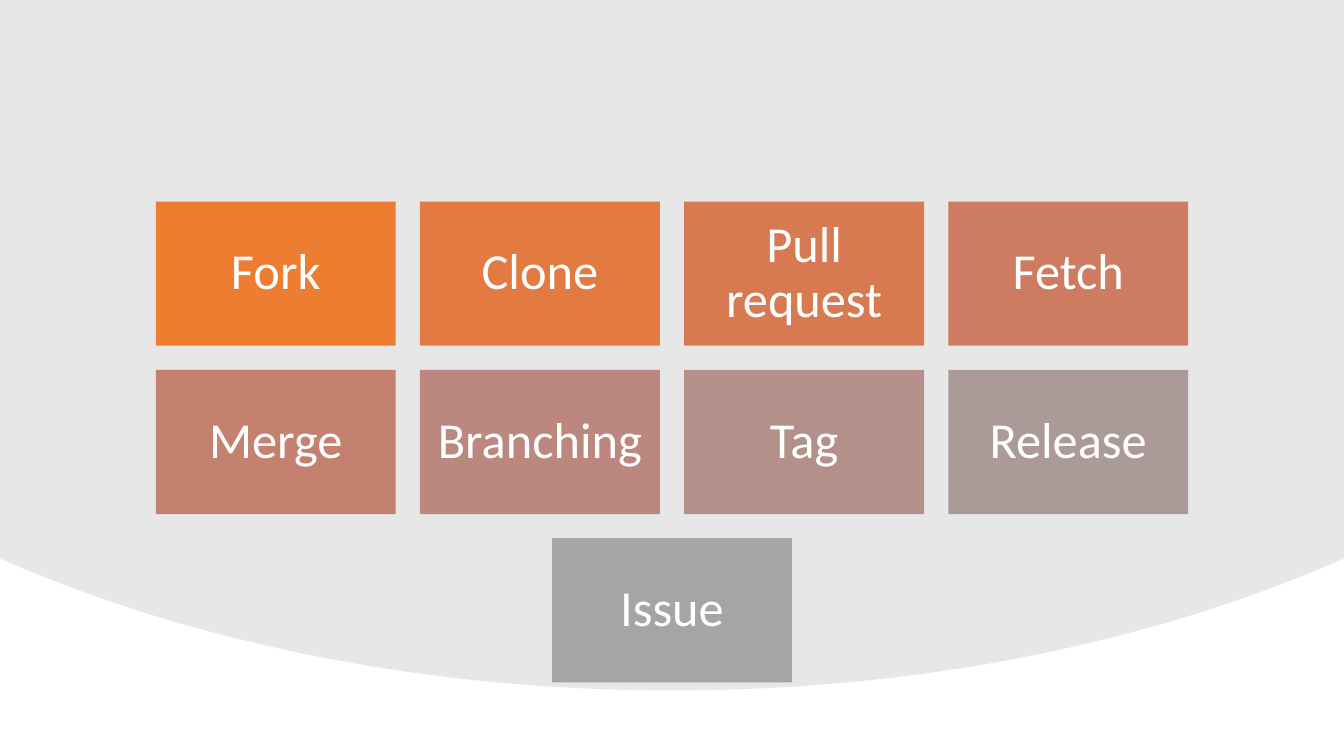
from dataclasses import dataclass

from lxml import etree
from pptx import Presentation
from pptx.dml.color import RGBColor
from pptx.enum import shapes, text
from pptx.oxml import ns
from pptx.util import Inches, Pt


@dataclass(frozen=True)
class Theme:
    """Colours and type of the slide."""

    font: str = "Calibri"
    size: int = 36
    text: str = "FFFFFF"
    backdrop: str = "D9D9D9"
    backdrop_alpha: int = 62


THEME = Theme()
SLIDE_WIDTH, SLIDE_HEIGHT = 13.33, 7.5
TILE_WIDTH, TILE_HEIGHT, TILE_GAP = 2.38, 1.43, 0.24
GRID_TOP = 2
TILE_ROWS = [
    [("Fork", "ED7D31"), ("Clone", "E27A42"), ("Pull request", "D87A51"), ("Fetch", "CE7C61")],
    [("Merge", "C48170"), ("Branching", "BC877E"), ("Tag", "B4908B"), ("Release", "AC9A99")],
    [("Issue", "A5A5A5")],
]
ARC_STEPS = 32
ARC_CURVES = [
    [(13.33, 5.54), (11.47, 6.36), (9.17, 6.85), (6.67, 6.85)],
    [(6.67, 6.85), (4.17, 6.85), (1.86, 6.36), (0, 5.54)],
]


def set_values(target, values):
    """Set each named attribute on the target."""
    for name, value in values.items():
        setattr(target, name, value)


def paint(shape, color):
    """Give the shape a flat fill without line or shadow."""
    shape.shadow.inherit = False
    shape.fill.solid()
    shape.fill.fore_color.rgb = RGBColor.from_string(color)
    shape.line.fill.background()


def curve_points(controls):
    """Return points along a cubic curve, in slide units."""
    points = []
    for step in range(ARC_STEPS + 1):
        t = step / ARC_STEPS
        weights = ((1 - t) ** 3, 3 * t * (1 - t) ** 2, 3 * t**2 * (1 - t), t**3)
        points.append(tuple(
            Inches(sum(weight * value for weight, value in zip(weights, axis)))
            for axis in zip(*controls)
        ))
    return points


def add_backdrop(slide):
    """Draw the translucent panel with its curved lower edge."""
    builder = slide.shapes.build_freeform(0, 0)
    outline = [(Inches(SLIDE_WIDTH), 0)]
    for controls in ARC_CURVES:
        outline += curve_points(controls)
    builder.add_line_segments(outline, close=True)
    shape = builder.convert_to_shape()
    paint(shape, THEME.backdrop)
    color = next(shape.element.spPr.iter(ns.qn("a:srgbClr")))
    etree.SubElement(color, ns.qn("a:alpha"), val=str(THEME.backdrop_alpha * 1000))


def add_tile(slide, left, top, label, color):
    """Draw one coloured tile with a centred label."""
    shape = slide.shapes.add_shape(
        shapes.MSO_SHAPE.RECTANGLE,
        Inches(left), Inches(top), Inches(TILE_WIDTH), Inches(TILE_HEIGHT),
    )
    paint(shape, color)
    frame = shape.text_frame
    sides = ("left", "top", "right", "bottom")
    set_values(frame, {f"margin_{side}": Inches(0.15) for side in sides})
    set_values(frame, {"word_wrap": True, "vertical_anchor": text.MSO_ANCHOR.MIDDLE})
    paragraph = frame.paragraphs[0]
    set_values(paragraph, {"alignment": text.PP_ALIGN.CENTER, "line_spacing": 0.9})
    run = paragraph.add_run()
    run.text = label
    set_values(run.font, {"name": THEME.font, "size": Pt(THEME.size)})
    run.font.color.rgb = RGBColor.from_string(THEME.text)


def add_tile_row(slide, top, tiles):
    """Place a row of tiles centred across the slide."""
    pitch = TILE_WIDTH + TILE_GAP
    start = (SLIDE_WIDTH - len(tiles) * pitch + TILE_GAP) / 2
    for column, (label, color) in enumerate(tiles):
        add_tile(slide, start + column * pitch, top, label, color)


def main():
    """Build and save the slide."""
    presentation = Presentation()
    set_values(presentation, {
        "slide_width": Inches(SLIDE_WIDTH),
        "slide_height": Inches(SLIDE_HEIGHT),
    })
    slide = presentation.slides.add_slide(presentation.slide_layouts[6])
    add_backdrop(slide)
    for row, tiles in enumerate(TILE_ROWS):
        add_tile_row(slide, GRID_TOP + row * (TILE_HEIGHT + TILE_GAP), tiles)
    presentation.save("out.pptx")


if __name__ == "__main__":
    main()
